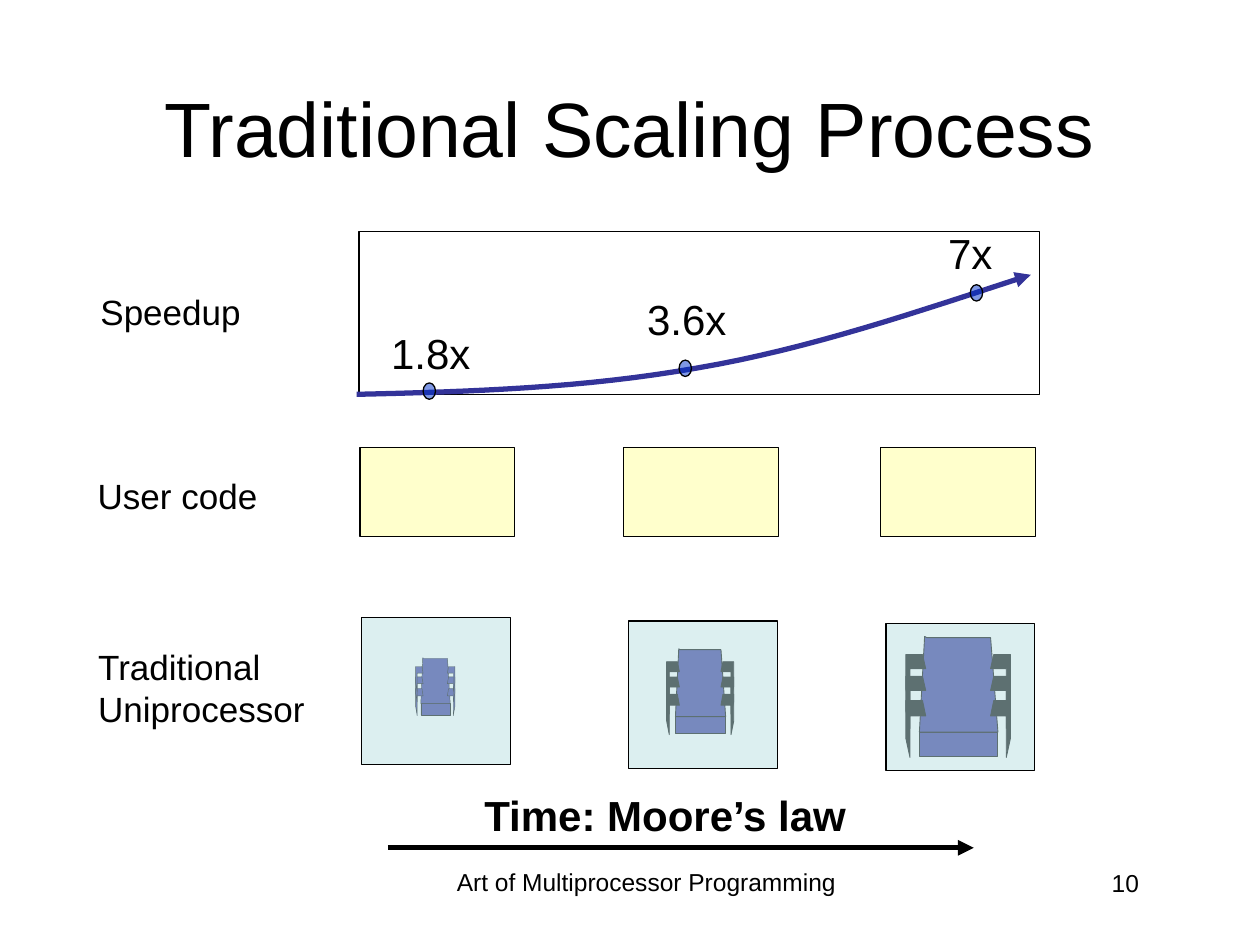
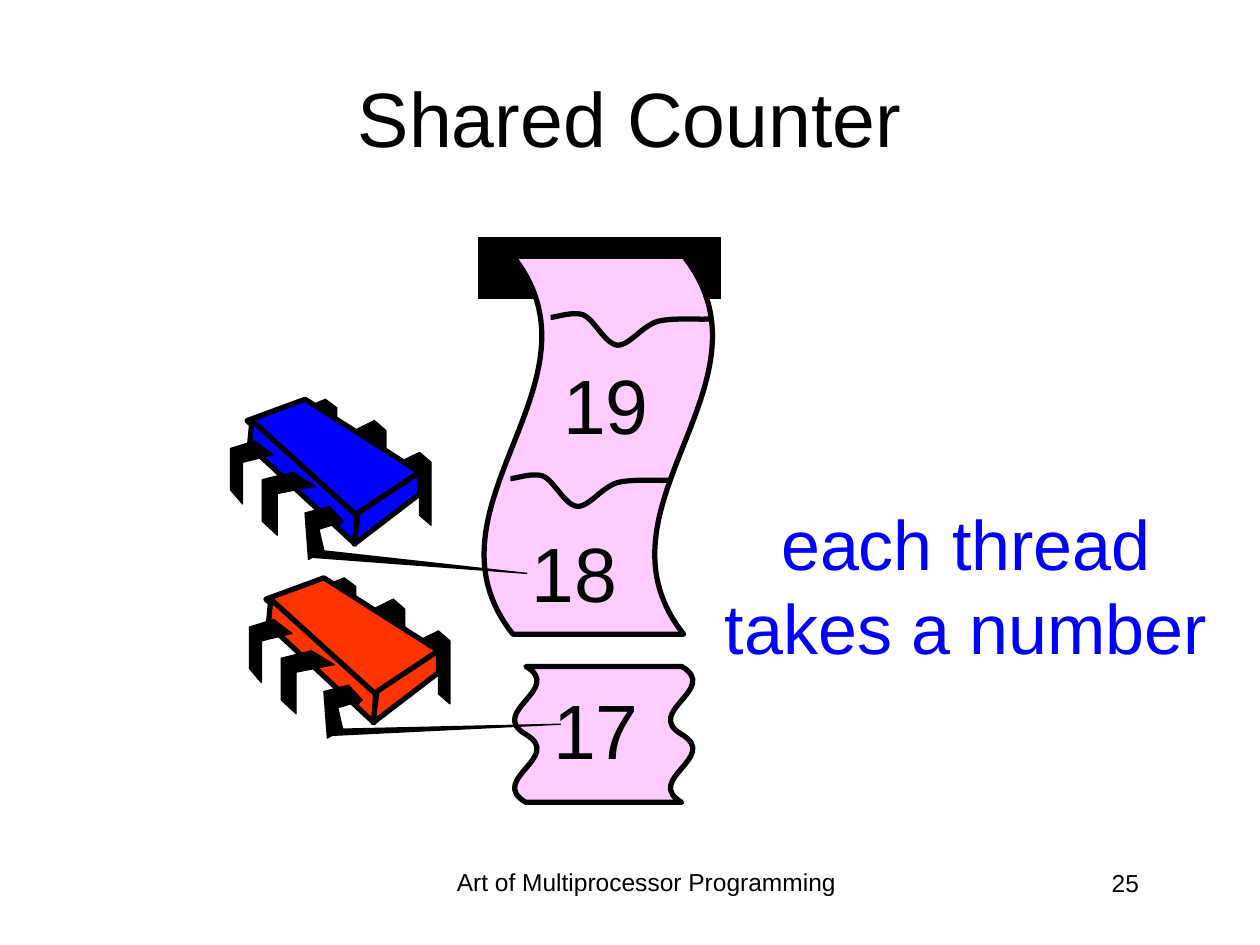
import dataclasses
import typing

import pptx
import pptx.dml.color
import pptx.enum.dml
import pptx.enum.shapes
import pptx.enum.text
import pptx.oxml.ns
import pptx.util

Cm = pptx.util.Cm
Pt = pptx.util.Pt
RGB = pptx.dml.color.RGBColor
SHAPE = pptx.enum.shapes.MSO_SHAPE
ALIGN = pptx.enum.text.PP_ALIGN
ANCHOR = pptx.enum.text.MSO_ANCHOR
qn = pptx.oxml.ns.qn

BLACK = RGB(0x00, 0x00, 0x00)
WHITE = RGB(0xFF, 0xFF, 0xFF)
INDIGO = RGB(0x33, 0x33, 0x99)
DOT_BLUE = RGB(0x00, 0x33, 0xCC)
CODE_YELLOW = RGB(0xFF, 0xFF, 0xCC)
DIE_TEAL = RGB(0xBB, 0xE0, 0xE3)
TICKET_PINK = RGB(0xFF, 0xCC, 0xFF)
BLUE = RGB(0x00, 0x00, 0xFF)
ORANGE = RGB(0xFF, 0x33, 0x00)

FONT = "Arial"
THIN = 0.75
THICK = 3
Point = tuple[float, float]
Box = tuple[float, float, float, float]  # left, top, width, height in cm


@dataclasses.dataclass(frozen=True)
class Label:
    text: str
    box: Box
    size: float
    align: ALIGN = ALIGN.CENTER
    wrap: bool = False
    bold: bool = False
    color: RGB = BLACK
    anchor: ANCHOR = ANCHOR.TOP


@dataclasses.dataclass(frozen=True)
class Generation:
    """One processor generation: speedup, user code and the chip running it."""
    speedup: Label
    dot: Point
    code_left: float
    die: Point
    core: Box
    core_line: float
    leg_color: RGB


@dataclasses.dataclass(frozen=True)
class Thread:
    color: RGB
    origin: Point
    tip: Point  # where its arm touches the ticket, from origin


GENERATIONS = [
    Generation(Label("1.8x", (7.62, 6.48, 2.13, 1.27), 24), (8.53, 7.72), 7.26,
               (7.29, 12.45), (8.38, 13.26, 0.79, 1.17), 0.25, INDIGO),
    Generation(Label("3.6x", (12.78, 5.79, 2.13, 1.27), 24), (13.69, 7.26), 12.57,
               (12.67, 12.52), (13.44, 13.08, 1.35, 1.73), 0.5, BLACK),
    Generation(Label("7x", (18.85, 4.47, 1.42, 1.27), 24), (19.56, 5.74), 17.75,
               (17.86, 12.57), (18.26, 12.83, 2.11, 2.44), 0.5, BLACK),
]
SCALING_LABELS = [
    Label("Speedup", (1.75, 5.74, 3.38, 1.12), 20),
    Label("User code", (1.65, 9.45, 3.86, 1.09), 20),
    Label("Traditional\nUniprocessor", (1.73, 12.88, 5.11, 1.96), 20, ALIGN.LEFT, True),
    Label("Time: Moore’s law", (9.42, 15.8, 7.98, 1.27), 24, bold=True),
]
SPEEDUP_CURVE = [(7.19, 7.95), (9.5, 7.9), (11.79, 7.82), (14.05, 7.42),
                 (16.31, 7.04), (18.54, 6.27), (20.78, 5.54)]

# Core outlines are fractions of the core's box.
CORE_BODY = [(0.2, 0.01), (0.81, 0.01), (0.88, 0.79), (0.13, 0.79), (0.18, 0)]
CORE_LEG = [(0.84, 0), (1, 0), (1, 0.66), (0.96, 1), (0.96, 0.27), (0.81, 0.27)]
LEG_SPANS = [(0.53, 0.47), (0.33, 0.43), (0.15, 0.43)]  # top, height

# Thread outlines are cm from the thread's origin.
BACK_PIN = [(0, 0.2), (0.41, 0), (0.64, 0.2), (0.64, 1.47), (0.41, 1.27), (0.41, 0.41), (0, 0.64)]
BACK_PINS = [(3.4, 1.07, 1), (2.49, 0.43, 1), (1.5, 0, 0.86)]  # left, top, height scale
FRONT_PIN = [(0.61, 0), (1.07, 0.28), (0.3, 0.43), (0.3, 1.27), (0, 0.99), (0, 0.15)]
FRONT_PINS = [(0.64, 1.47, 1), (0, 0.84, 0.8)]  # left, top, width scale
THREAD_FACES = [
    [(1.5, 0), (3.81, 1.47), (2.51, 2.36), (0.33, 0.43)],
    [(0.43, 0.43), (2.54, 2.34), (2.51, 2.92), (0.38, 0.94)],
    [(3.81, 1.47), (3.81, 1.91), (2.49, 2.92), (2.57, 2.29)],
]
UPPER_ARM = [(2.01, 2.16), (1.5, 2.29), (1.57, 3.23), (1.88, 3.05), (1.78, 2.62), (2.29, 2.46)]
THREADS = [Thread(BLUE, (4.65, 8.05), (5.97, 3.51)),
           Thread(ORANGE, (5.03, 11.65), (6.27, 2.95))]

TEAR = [(0, 0), (0.1, 0), (0.46, -0.13), (0.66, -0.05), (0.89, 0.05), (1.09, 0.53),
        (1.35, 0.56), (1.6, 0.56), (1.83, 0.18), (2.16, 0.08), (2.46, 0), (3, 0.05), (3.2, 0.03)]
TEAR_STARTS = [(11.1, 6.4), (10.29, 9.65)]
COUNTER_LABELS = [
    Label(number, (left, top, 2.26, 2.13), 44, ALIGN.RIGHT)
    for number, left, top in [("17", 10.87, 13.64), ("18", 10.44, 10.46), ("19", 11.07, 7.09)]
] + [Label("each thread takes a number", (13.97, 9.96, 11, 3.63), 40, wrap=True, color=BLUE)]


def place(points: list[Point], left: float, top: float,
          sx: float = 1, sy: float = 1) -> list[Point]:
    """Scale the points, then move them to left, top."""
    return [(left + x * sx, top + y * sy) for x, y in points]


def bezier_points(knots: list[Point], steps: int = 16) -> list[Point]:
    """Sample a chain of cubic curves; neighbouring curves share a knot."""
    points = [knots[0]]
    for i in range(0, len(knots) - 1, 3):
        for step in range(1, steps + 1):
            t = step / steps
            weights = ((1 - t) ** 3, 3 * t * (1 - t) ** 2, 3 * t * t * (1 - t), t ** 3)
            segment = knots[i:i + 4]
            points.append((sum(w * k[0] for w, k in zip(weights, segment)),
                           sum(w * k[1] for w, k in zip(weights, segment))))
    return points


def style(sp, fill: typing.Optional[RGB], width: float, line: RGB = BLACK) -> None:
    sp.shadow.inherit = False
    if fill is None:
        sp.fill.background()
    else:
        sp.fill.solid()
        sp.fill.fore_color.rgb = fill
    sp.line.color.rgb = line
    sp.line.width = Pt(width)


def make_half_transparent(sp) -> None:
    color = sp.element.spPr.find(f"{qn('a:solidFill')}/{qn('a:srgbClr')}")
    color.makeelement(qn("a:alpha"))
    alpha = color.makeelement(qn("a:alpha"), {"val": "50000"})
    color.append(alpha)


def add_arrowhead(sp) -> None:
    ln = sp.element.spPr.find(qn("a:ln"))
    ln.append(ln.makeelement(qn("a:tailEnd"), {"type": "triangle"}))


def add_preset(shapes, kind: SHAPE, box: Box, fill: RGB, width: float = THIN,
               see_through: bool = False):
    sp = shapes.add_shape(kind, *map(Cm, box))
    style(sp, fill, width)
    if see_through:
        make_half_transparent(sp)
    return sp


def add_outline(shapes, points: list[Point], fill: typing.Optional[RGB],
                width: float = THIN, line: RGB = BLACK, closed: bool = True):
    vertices = [(Cm(x), Cm(y)) for x, y in points]
    builder = shapes.build_freeform(*vertices[0])
    builder.add_line_segments(vertices[1:], close=closed)
    sp = builder.convert_to_shape()
    style(sp, fill, width, line)
    return sp


def add_label(slide, label: Label) -> None:
    tf = slide.shapes.add_textbox(*map(Cm, label.box)).text_frame
    tf.word_wrap = label.wrap
    tf.vertical_anchor = label.anchor
    tf.text = label.text
    for p in tf.paragraphs:
        p.alignment = label.align
        p.font.name = FONT
        p.font.size = Pt(label.size)
        p.font.bold = label.bold
        p.font.color.rgb = label.color


def add_base_slide(prs, title: Label, number: int):
    """Add a blank slide with its title, footer and slide number."""
    slide = prs.slides.add_slide(prs.slide_layouts[6])
    add_label(slide, Label("Art of Multiprocessor Programming",
                           (8.69, 17.35, 8.69, 1.32), 14, wrap=True))
    add_label(slide, Label(str(number), (17.93, 17.37, 5.28, 1.27), 14, ALIGN.RIGHT, True))
    add_label(slide, title)
    return slide


def title_label(text: str, box: Box) -> Label:
    return Label(text, box, 44, wrap=True, anchor=ANCHOR.MIDDLE)


def add_core(slide, gen: Generation) -> None:
    shapes = slide.shapes.add_group_shape().shapes
    left, top, width, height = gen.core
    add_preset(shapes, SHAPE.RECTANGLE,
               (left + 0.13 * width, top + 0.79 * height, 0.75 * width, 0.2 * height),
               INDIGO, gen.core_line)
    add_outline(shapes, place(CORE_BODY, left, top, width, height), INDIGO, gen.core_line)
    for start, sx in ((left, width), (left + width, -width)):
        for leg_top, leg_height in LEG_SPANS:
            leg = place(CORE_LEG, start, top + leg_top * height, sx, leg_height * height)
            add_outline(shapes, leg, gen.leg_color, gen.core_line)


def add_thread(slide, thread: Thread) -> None:
    shapes = slide.shapes.add_group_shape().shapes
    left, top = thread.origin
    for x, y, scale in BACK_PINS:
        add_outline(shapes, place(BACK_PIN, left + x, top + y, sy=scale), BLACK)
    for face in THREAD_FACES:
        add_outline(shapes, place(face, left, top), thread.color, THICK)
    for x, y, scale in FRONT_PINS:
        add_outline(shapes, place(FRONT_PIN, left + x, top + y, sx=scale), BLACK)
    forearm = [(1.57, 3.18), thread.tip, (1.83, 3.05)]
    add_outline(shapes, place(forearm, left, top), BLACK, closed=False)
    add_arrowhead(add_outline(shapes, place(UPPER_ARM, left, top), BLACK, closed=False))


def add_time_arrow(slide) -> None:
    line = slide.shapes.add_connector(pptx.enum.shapes.MSO_CONNECTOR.STRAIGHT,
                                      Cm(7.82), Cm(17.09), Cm(19.63), Cm(17.09))
    line.line.color.rgb = BLACK
    line.line.width = Pt(THICK)
    add_arrowhead(line)
    spPr = line.element.spPr
    spPr.append(spPr.makeelement(qn("a:effectLst")))


def build_scaling_slide(prs) -> None:
    slide = add_base_slide(
        prs, title_label("Traditional Scaling Process", (1.9, 0.97, 21.59, 3.18)), 10)
    shapes = slide.shapes
    for gen in GENERATIONS:
        add_preset(shapes, SHAPE.RECTANGLE, (gen.code_left, 9.02, 3.12, 1.8), CODE_YELLOW)
    add_preset(shapes, SHAPE.RECTANGLE, (7.24, 4.67, 13.72, 3.28), WHITE, see_through=True)
    curve = add_outline(shapes, bezier_points(SPEEDUP_CURVE), None, THICK, INDIGO, closed=False)
    add_arrowhead(curve)
    for gen in GENERATIONS:
        add_preset(shapes, SHAPE.OVAL, (*gen.dot, 0.25, 0.33), DOT_BLUE, see_through=True)
        add_label(slide, gen.speedup)
    for label in SCALING_LABELS:
        add_label(slide, label)
    add_time_arrow(slide)
    for gen in GENERATIONS:
        add_core(slide, gen)
        add_preset(shapes, SHAPE.RECTANGLE, (*gen.die, 3, 2.97), DIE_TEAL, see_through=True)


def build_counter_slide(prs) -> None:
    slide = add_base_slide(prs, title_label("Shared Counter", (1.27, 0.76, 22.86, 3.18)), 25)
    shapes = slide.shapes
    add_preset(shapes, SHAPE.RECTANGLE, (9.65, 4.8, 4.88, 1.22), BLACK)
    for kind, box, amplitude in [(SHAPE.WAVE, (8.25, 6.65, 7.62, 4.65), 0.13),
                                 (SHAPE.DOUBLE_WAVE, (10.8, 13, 2.74, 3.61), 0.065)]:
        ticket = add_preset(shapes, kind, box, TICKET_PINK, THICK)
        ticket.rotation = 90
        ticket.adjustments[0] = amplitude
        ticket.adjustments[1] = 0
    for label in COUNTER_LABELS:
        add_label(slide, label)
    for start in TEAR_STARTS:
        add_outline(shapes, bezier_points(place(TEAR, *start)), None, THICK, closed=False)
    for thread in THREADS:
        add_thread(slide, thread)


def main() -> None:
    prs = pptx.Presentation()
    prs.slide_width, prs.slide_height = Cm(25.4), Cm(19.05)
    build_scaling_slide(prs)
    build_counter_slide(prs)
    prs.save("out.pptx")


if __name__ == "__main__":
    main()
